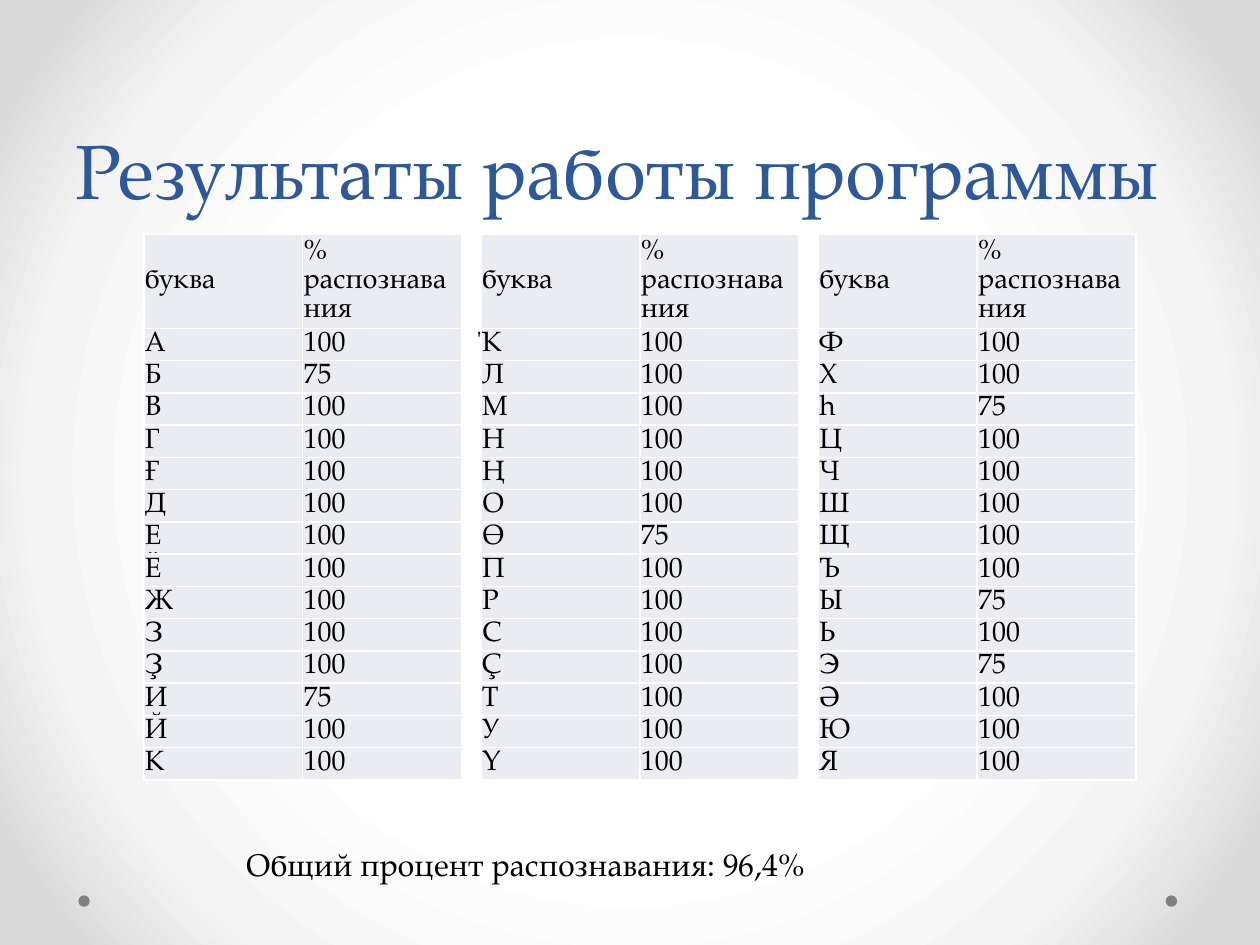
from lxml.etree import SubElement as Sub
from pptx import Presentation
from pptx.dml.color import RGBColor as Rgb
from pptx.enum.shapes import MSO_SHAPE as Form
from pptx.enum.text import MSO_ANCHOR as Anchor, PP_ALIGN as Align
from pptx.oxml import parse_xml as to_xml
from pptx.oxml.ns import nsdecls, qn
from pptx.util import Cm, Pt

TITLE = "Результаты работы программы"
TOTAL = "Общий процент распознавания: 96,4%"
HEAD = ("буква", "% распознавания")
GROUPS = ("АБВГҒДЕЁЖЗҘИЙК", "ҠЛМНҢОӨПРСҪТУY", "ФХhЦЧШЩЪЫЬЭӘЮЯ")
WEAK = "БИӨhЫЭ"
FONT = "TeX Gyre Pagella"
HUES = {"title": "2F5897", "text": "000000", "cell": "EAECF2",
        "rule": "FFFFFF", "dot": "808080"}
GLOW = ((50, "FFFFFF"), (76, "F4F4F4"), (92, "DADADA"))
LEFT, TOP, STEP = 2.9, 4.73, 6.8
COL, HEAD_H, ROW_H = 3.2, 1.89, 0.65


def write(frame, text, size, hue, align=Align.LEFT):
    frame.word_wrap = True
    para = frame.paragraphs[0]
    para.alignment = align
    run = para.add_run()
    run.text = text
    run.font.name = FONT
    run.font.size = Pt(size)
    run.font.color.rgb = Rgb.from_string(HUES[hue])
    return para


def add_text(slide, box, text, size, hue):
    frame = slide.shapes.add_textbox(*map(Cm, box)).text_frame
    return frame, write(frame, text, size, hue)


def set_glow(slide):
    slide.background.fill.solid()
    stops = "".join(f'<a:gs pos="{pos * 1000}"><a:srgbClr val="{hue}"/></a:gs>'
                    for pos, hue in GLOW)
    grad = to_xml(f'<a:gradFill {nsdecls("a")} rotWithShape="1">'
                  f'<a:gsLst>{stops}</a:gsLst><a:path path="circle">'
                  '<a:fillToRect l="50000" t="50000" r="50000" b="50000"/>'
                  '</a:path></a:gradFill>')
    solid = slide.background.fill._xPr.find(qn("a:solidFill"))
    solid.getparent().replace(solid, grad)


def set_rules(cell):
    props = cell._tc.get_or_add_tcPr()
    for spot, side in enumerate(("lnL", "lnR", "lnT", "lnB")):
        line = to_xml(f'<a:{side} {nsdecls("a")} w="{Pt(1)}"/>')
        fill = Sub(line, qn("a:solidFill"))
        Sub(fill, qn("a:srgbClr"), val=HUES["rule"])
        props.insert(spot, line)


def fill_cell(cell, text):
    cell.fill.solid()
    cell.fill.fore_color.rgb = Rgb.from_string(HUES["cell"])
    cell.margin_left = cell.margin_right = cell.margin_top = Cm(0.02)
    cell.margin_bottom = 0
    cell.vertical_anchor = Anchor.MIDDLE
    para = write(cell.text_frame, text, 16, "text", Align.JUSTIFY)
    para.line_spacing = Pt(16.3)
    set_rules(cell)


def add_scores(slide, left, group):
    rows = [HEAD] + [(sign, "75" if sign in WEAK else "100") for sign in group]
    high = HEAD_H + ROW_H * len(group)
    table = slide.shapes.add_table(len(rows), 2, Cm(left), Cm(TOP),
                                   Cm(2 * COL), Cm(high)).table
    table.horz_banding = False
    for col in table.columns:
        col.width = Cm(COL)
    for r, row in enumerate(rows):
        table.rows[r].height = Cm(ROW_H if r else HEAD_H)
        for c, text in enumerate(row):
            fill_cell(table.cell(r, c), text)


def main():
    deck = Presentation()
    deck.slide_width, deck.slide_height = Cm(25.4), Cm(19.05)
    slide = deck.slides.add_slide(deck.slide_layouts[6])
    set_glow(slide)
    for left in (23.5, 1.58):
        dot = slide.shapes.add_shape(Form.OVAL, Cm(left), Cm(18.05),
                                     Cm(0.23), Cm(0.23))
        dot.shadow.inherit = False
        dot.fill.solid()
        dot.fill.fore_color.rgb = Rgb.from_string(HUES["dot"])
        dot.line.fill.background()
    frame, para = add_text(slide, (1.27, 0, 22.86, 4.45), TITLE, 44, "title")
    frame.vertical_anchor = Anchor.BOTTOM
    para.line_spacing = Pt(58)
    for n, group in enumerate(GROUPS):
        add_scores(slide, LEFT + n * STEP, group)
    add_text(slide, (4.7, 16.92, 16.6, 1.02), TOTAL, 18, "text")
    deck.save("out.pptx")


if __name__ == "__main__":
    main()
